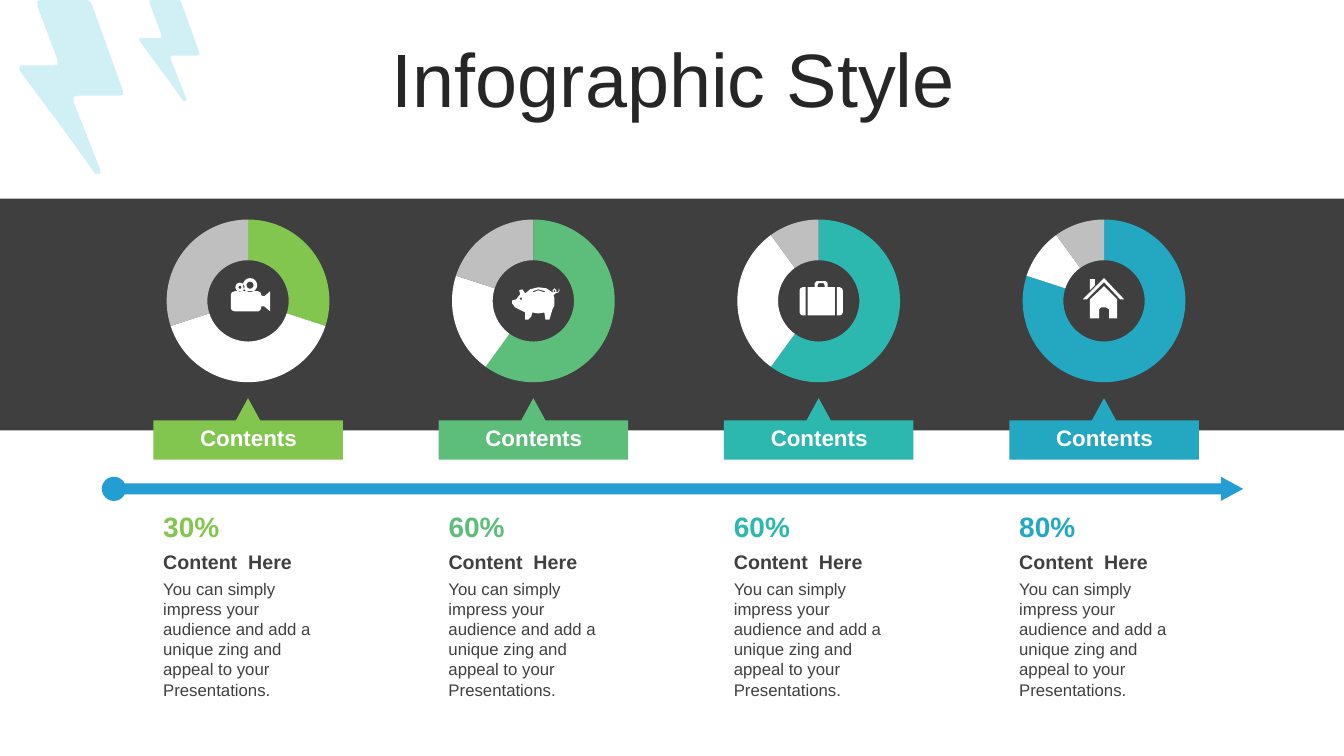
from math import cos, sin, pi
from pptx import Presentation
from pptx.chart.data import CategoryChartData
from pptx.dml.color import RGBColor
from pptx.enum.chart import XL_CHART_TYPE
from pptx.enum.shapes import MSO_SHAPE
from pptx.enum.text import MSO_ANCHOR, PP_ALIGN
from pptx.util import Inches, Pt
from lxml.etree import SubElement


def paint(shape, color):
    shape.shadow.inherit = False
    shape.fill.solid()
    shape.fill.fore_color.rgb = RGBColor.from_string(color)
    shape.line.fill.background()


def write(text, left, top, width, height, size, color, bold=False,
          align=PP_ALIGN.LEFT, anchor=MSO_ANCHOR.MIDDLE):
    box = slide.shapes.add_textbox(Inches(left), Inches(top), Inches(width), Inches(height))
    frame = box.text_frame
    frame.word_wrap = True
    frame.vertical_anchor = anchor
    line = frame.paragraphs[0]
    line.alignment = align
    run = line.add_run()
    run.text = text
    run.font.name = "Arial"
    run.font.size = Pt(size)
    run.font.bold = bold
    run.font.color.rgb = RGBColor.from_string(color)


deck = Presentation()
deck.slide_width = Inches(13.33)
deck.slide_height = Inches(7.5)
slide = deck.slides.add_slide(deck.slide_layouts[6])
shapes = slide.shapes

bolt = [(0.22, 0), (0.66, 0), (0.7, 0.01), (0.72, 0.04), (1.03, 0.9), (1.03, 0.94),
        (0.99, 0.95), (0.59, 0.95), (0.54, 0.96), (0.54, 1.01), (0.8, 1.67), (0.81, 1.71),
        (0.79, 1.73), (0.75, 1.72), (0.53, 1.41), (0.02, 0.72), (0, 0.68), (0.01, 0.65),
        (0.05, 0.65), (0.34, 0.65), (0.38, 0.64), (0.38, 0.59), (0.18, 0.06), (0.18, 0.01)]
outlines = []
for left, scale in [(0.19, 1), (1.38, 0.58)]:
    outlines.append(("D0F0F6", [[(left + x * scale, y * scale) for x, y in bolt]]))

band = shapes.add_shape(MSO_SHAPE.RECTANGLE, 0, Inches(1.97), Inches(13.33), Inches(2.3))
paint(band, "3F3F3F")
arrow = shapes.add_shape(MSO_SHAPE.RIGHT_ARROW, Inches(1.19), Inches(4.73), Inches(11.14), Inches(0.24))
arrow.adjustments[0] = 0.45
arrow.adjustments[1] = 0.92
paint(arrow, "249ED2")
dot = shapes.add_shape(MSO_SHAPE.OVAL, Inches(1.01), Inches(4.73), Inches(0.24), Inches(0.24))
paint(dot, "249ED2")

steps = [("82C650", (30, 40, 30)), ("5CBE7A", (60, 20, 20)),
         ("2CB8AE", (60, 30, 10)), ("24A8C2", (80, 10, 10))]
flag = [(0, 0.61), (0, 0.22), (0.82, 0.22), (0.94, 0), (1.06, 0.22), (1.88, 0.22), (1.88, 0.61)]
for i, (color, values) in enumerate(steps):
    left = 1.52 + 2.83 * i
    data = CategoryChartData()
    data.categories = ["1", "2", "3"]
    data.add_series("Series 1", values)
    chart = shapes.add_chart(XL_CHART_TYPE.DOUGHNUT, Inches(left - 0.03), Inches(2.04),
                             Inches(1.94), Inches(1.89), data).chart
    chart.has_legend = False
    chart.has_title = False
    chart.font.name = "Arial"
    chart.font.size = Pt(18)
    plot = chart.plots[0]
    plot.vary_by_categories = True
    for hole in plot._element.xpath("c:holeSize"):
        hole.set("val", "69")
    for j, shade in enumerate([color, "FFFFFF", "BFBFBF"]):
        style = plot.series[0].points[j].format
        style.fill.solid()
        style.fill.fore_color.rgb = RGBColor.from_string(shade)
        style.line.fill.background()
    outlines.append((color, [[(left + x, 3.95 + y) for x, y in flag]]))

camera = [[(2.33, 2.89), (2.56, 2.89), (2.58, 2.9), (2.59, 2.92), (2.59, 2.93), (2.62, 2.94),
           (2.68, 2.89), (2.68, 3.09), (2.62, 3.04), (2.59, 3.04), (2.59, 3.06), (2.58, 3.08),
           (2.56, 3.09), (2.33, 3.09), (2.3, 3.08), (2.29, 3.06), (2.29, 2.92), (2.3, 2.9)]]
for x, y, radius in [(2.38, 2.85, 0.045), (2.38, 2.85, 0.015), (2.48, 2.83, 0.07), (2.48, 2.83, 0.035)]:
    camera.append([(x + radius * cos(k * pi / 12), y + radius * sin(k * pi / 12)) for k in range(24)])

pig = [[(5.34, 2.85), (5.42, 2.86), (5.48, 2.9), (5.49, 2.92), (5.48, 2.88), (5.5, 2.86),
        (5.52, 2.88), (5.52, 2.9), (5.54, 2.89), (5.54, 2.86), (5.55, 2.88), (5.54, 2.9),
        (5.51, 2.91), (5.49, 2.93), (5.5, 2.96), (5.5, 3.03), (5.48, 3.07), (5.45, 3.17),
        (5.41, 3.17), (5.4, 3.1), (5.34, 3.11), (5.28, 3.1), (5.27, 3.14), (5.24, 3.17),
        (5.21, 3.17), (5.21, 3.1), (5.11, 3.05), (5.08, 3.01), (5.08, 2.98), (5.12, 2.97),
        (5.16, 2.92), (5.15, 2.88), (5.18, 2.87), (5.21, 2.91), (5.26, 2.87)],
       [(5.17, 2.95), (5.15, 2.96), (5.17, 2.98), (5.18, 2.96)],
       [(5.5, 2.87), (5.49, 2.89), (5.5, 2.9), (5.51, 2.89)],
       [(5.34, 2.87), (5.28, 2.89), (5.29, 2.9), (5.34, 2.88), (5.4, 2.9), (5.41, 2.89)]]

bag = [[(8.3, 2.85), (8.33, 2.85), (8.35, 2.86), (8.36, 2.88), (8.36, 3.1), (8.35, 3.12),
        (8.33, 3.13), (8.3, 3.13)],
       [(7.99, 2.85), (7.96, 2.85), (7.94, 2.86), (7.93, 2.88), (7.93, 3.1), (7.94, 3.12),
        (7.96, 3.13), (7.99, 3.13)],
       [(8.1, 2.79), (8.19, 2.79), (8.21, 2.81), (8.21, 2.85), (8.28, 2.85), (8.28, 3.13),
        (8.01, 3.13), (8.01, 2.85), (8.08, 2.85), (8.08, 2.81)],
       [(8.12, 2.81), (8.11, 2.83), (8.11, 2.85), (8.18, 2.85), (8.18, 2.83), (8.17, 2.81)]]

house = [[(10.95, 2.84), (11.08, 2.97), (11.08, 3.16), (11, 3.16), (11, 3.07), (10.97, 3.05),
          (10.92, 3.05), (10.9, 3.07), (10.9, 3.16), (10.81, 3.16), (10.81, 2.97)],
         [(10.81, 2.77), (10.86, 2.77), (10.86, 2.83), (10.81, 2.88)],
         [(10.95, 2.76), (11.15, 2.97), (11.11, 2.97), (10.95, 2.8), (10.78, 2.97), (10.74, 2.97)]]

for icon in [camera, pig, bag, house]:
    outlines.append(("FFFFFF", icon))

for color, loops in outlines:
    pen = shapes.build_freeform(Inches(loops[0][0][0]), Inches(loops[0][0][1]))
    for k, loop in enumerate(loops):
        spots = [(Inches(x), Inches(y)) for x, y in loop]
        if k:
            pen.move_to(*spots[0])
        pen.add_line_segments(spots[1:], close=True)
    paint(pen.convert_to_shape(), color)

write("Infographic Style", 0.35, 0.37, 12.66, 0.79, 54, "262626", align=PP_ALIGN.CENTER)
story = "You can simply impress your audience and add a unique zing and appeal to your Presentations."
for i, (color, values) in enumerate(steps):
    left = 1.52 + 2.83 * i
    write("Contents", left + 0.26, 4.16, 1.37, 0.37, 16, "FFFFFF", True, PP_ALIGN.CENTER)
    write(f"{values[0]}%", left, 5, 1.88, 0.44, 20, color, True)
    write("Content  Here", left, 5.4, 1.88, 0.34, 14, "404040", True)
    write(story, left, 5.69, 1.87, 1.11, 12, "404040", anchor=MSO_ANCHOR.TOP)

deck.save("out.pptx")
